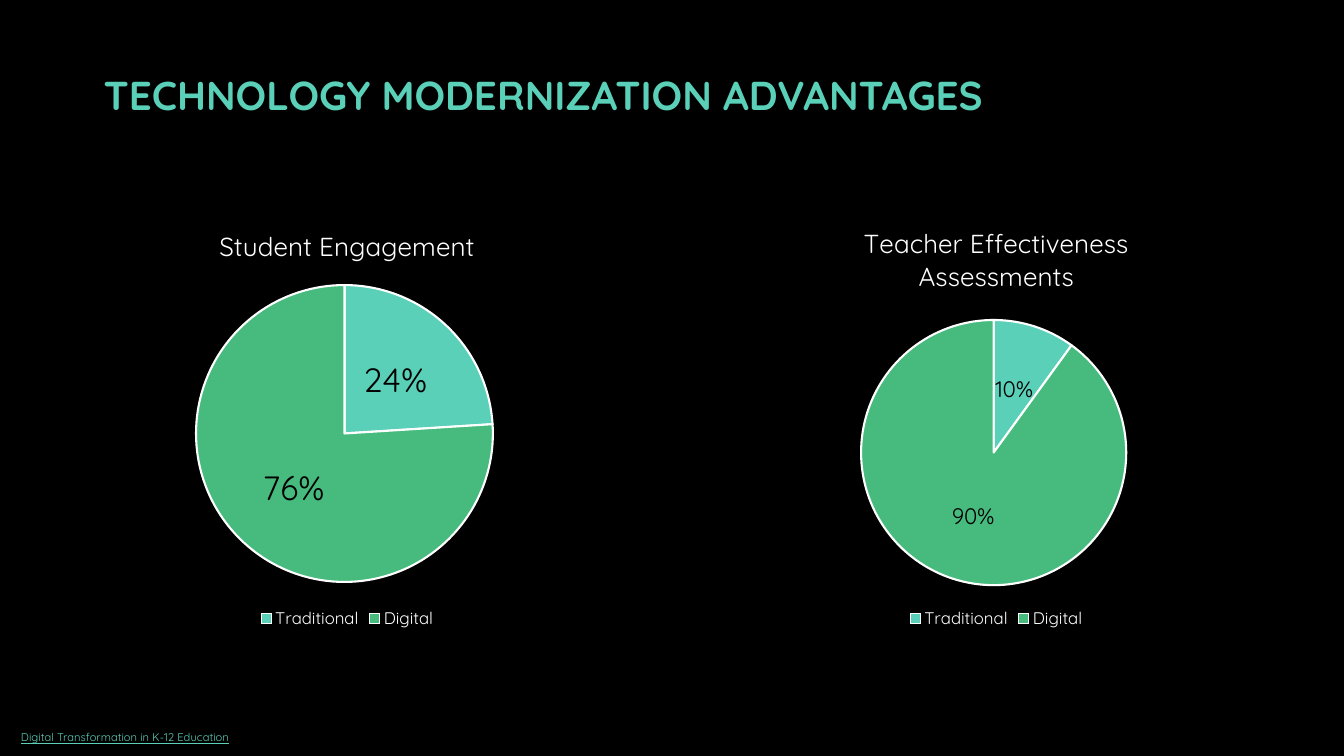
from lxml.etree import SubElement
from pptx import Presentation
from pptx.chart.data import CategoryChartData
from pptx.dml.color import RGBColor
from pptx.enum.chart import XL_CHART_TYPE, XL_LABEL_POSITION, XL_LEGEND_POSITION
from pptx.enum.text import MSO_ANCHOR
from pptx.oxml.ns import qn
from pptx.util import Cm, Pt

COLORS = {
    "background": "000000",
    "teal": "5AD0B8",
    "green": "47BB7E",
    "white": "FFFFFF",
    "label": "000000",
}
FONT = "Quicksand"


def write(frame, text, size, color, bold=False, underline=False):
    """Fill a text frame, one paragraph per line; returns nothing."""
    frame.text = text
    for paragraph in frame.paragraphs:
        for run in paragraph.runs:
            style(run.font, size, color, bold, underline)


def style(font, size, color, bold=False, underline=False):
    font.name = FONT
    font.size = Pt(size)
    font.color.rgb = RGBColor.from_string(COLORS[color])
    font.bold = bold
    font.underline = underline


prs = Presentation()
prs.slide_width, prs.slide_height = Cm(33.87), Cm(19.05)
slide = prs.slides.add_slide(prs.slide_layouts[6])
slide.background.fill.solid()
slide.background.fill.fore_color.rgb = RGBColor.from_string(COLORS["background"])

heading = slide.shapes.add_textbox(Cm(2.36), Cm(1.3), Cm(24.1), Cm(2.16)).text_frame
heading.word_wrap = True
heading.vertical_anchor = MSO_ANCHOR.MIDDLE
write(heading, "TECHNOLOGY MODERNIZATION ADVANTAGES", 28.8, "teal", bold=True)

# left edge, title, series name, values, label size, pie area as chart fractions
comparisons = [
    (1.93, "Student Engagement", "Student Engagement", (24, 76), 24,
     {"x": 0.22, "y": 0.18, "w": 0.55, "h": 0.7}),
    (18.29, "Teacher Effectiveness\nAssessments", "Series 1", (10, 90), 16,
     {"x": 0.25, "y": 0.26, "w": 0.49, "h": 0.63}),
]
for left, title, series_name, shares, label_size, pie_area in comparisons:
    data = CategoryChartData(number_format='0"%"')
    data.categories = ["Traditional", "Digital"]
    data.add_series(series_name, shares)
    chart = slide.shapes.add_chart(
        XL_CHART_TYPE.PIE, Cm(left), Cm(5.26), Cm(13.64), Cm(10.69), data
    ).chart
    style(chart.font, 10, "white")
    chart.has_title = True
    write(chart.chart_title.text_frame, title, 18.6, "white")
    chart.chart_title.include_in_layout = False

    chart.has_legend = True
    chart.legend.position = XL_LEGEND_POSITION.BOTTOM
    chart.legend.include_in_layout = False
    style(chart.legend.font, 12, "white")

    plot = chart.plots[0]
    plot.vary_by_categories = True
    plot_area = chart.element.chart.plotArea
    layout = plot_area.find(qn("c:layout"))
    if layout is None:
        layout = SubElement(plot_area, qn("c:layout"))
        plot_area.insert(0, layout)
    manual = SubElement(layout, qn("c:manualLayout"))
    SubElement(manual, qn("c:layoutTarget")).set("val", "inner")
    for side in ("x", "y"):
        SubElement(manual, qn(f"c:{side}Mode")).set("val", "edge")
    for side, fraction in pie_area.items():
        SubElement(manual, qn(f"c:{side}")).set("val", str(fraction))

    series = plot.series[0]
    for index, color in enumerate(("teal", "green")):
        slice_format = series.points[index].format
        slice_format.fill.solid()
        slice_format.fill.fore_color.rgb = RGBColor.from_string(COLORS[color])
        slice_format.line.color.rgb = RGBColor.from_string(COLORS["white"])
        slice_format.line.width = Pt(1.5)

    labels = series.data_labels
    labels.show_value = True
    labels.number_format = '0"%"'
    labels.number_format_is_linked = False
    labels.position = XL_LABEL_POSITION.CENTER
    style(labels.font, label_size, "label")

source = slide.shapes.add_textbox(Cm(0.28), Cm(18.29), Cm(5.94), Cm(0.6)).text_frame
source.word_wrap = False
write(source, "Digital Transformation in K-12 Education", 8, "teal", underline=True)

prs.save("out.pptx")
